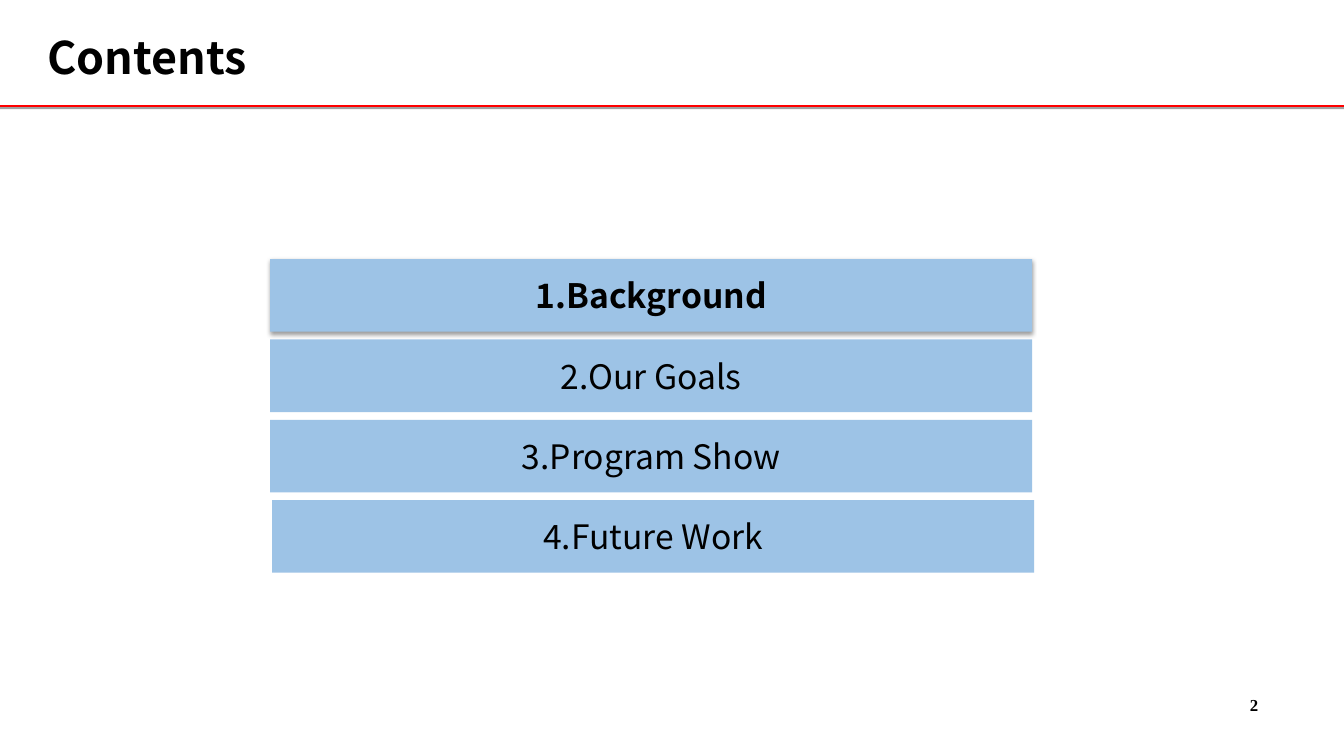
"""Build a contents slide with four agenda bars."""
from lxml.etree import SubElement
from pptx import Presentation
from pptx.dml.color import RGBColor
from pptx.enum.shapes import MSO_CONNECTOR, MSO_SHAPE
from pptx.enum.text import MSO_ANCHOR, MSO_AUTO_SIZE, PP_ALIGN
from pptx.oxml.ns import qn
from pptx.util import Inches, Pt

COLOURS = {"page": "FFFFFF", "text": "000000", "rule": "FF0000", "bar": "9DC3E6", "shadow": "000000"}
SANS = "Noto Sans CJK SC"
SERIF = "Times New Roman"
TOPICS = ["1.Background", "2.Our Goals", "3.Program Show", "4.Future Work"]
BAR_LEFTS = [20.1, 20.1, 20.1, 20.25]
BAR_TOP, BAR_STEP, BAR_WIDTH, BAR_HEIGHT = 34.27, 10.63, 56.7, 9.6


class SlideBuilder:
    """Hold the style and the current slide, and add each kind of element."""

    def __init__(self, deck):
        self.deck = deck
        self.page = deck.slides.add_slide(deck.slide_layouts[5])
        fill = self.page.background.fill
        fill.solid()
        fill.fore_color.rgb = self.colour("page")

    def colour(self, name):
        return RGBColor.from_string(COLOURS[name])

    def across(self, percent):
        return round(self.deck.slide_width * percent / 100)

    def down(self, percent):
        return round(self.deck.slide_height * percent / 100)

    def area(self, left, top, width, height):
        return self.across(left), self.down(top), self.across(width), self.down(height)

    def set_text(self, shape, text, size, font=SANS, align=PP_ALIGN.LEFT, bold=False):
        frame = shape.text_frame
        frame.text = text
        frame.word_wrap = True
        frame.auto_size = MSO_AUTO_SIZE.NONE
        frame.vertical_anchor = MSO_ANCHOR.MIDDLE
        para = frame.paragraphs[0]
        para.alignment = align
        for span in para.runs:
            span.font.name = font
            span.font.size = Pt(size)
            span.font.bold = bold
            span.font.color.rgb = self.colour("text")

    def effects(self, shape, opacity=0, blur=0):
        effects = SubElement(shape.element.spPr, qn("a:effectLst"))
        if opacity:
            shadow = SubElement(effects, qn("a:outerShdw"), blurRad=str(Pt(blur)),
                                dist=str(Pt(1.6)), dir="5400000", algn="t", rotWithShape="0")
            tint = SubElement(shadow, qn("a:srgbClr"), val=COLOURS["shadow"])
            SubElement(tint, qn("a:alpha"), val=str(opacity * 1000))

    def title(self, text, *area):
        box = self.page.shapes.title
        box.left, box.top, box.width, box.height = self.area(*area)
        self.set_text(box, text, 32, bold=True)

    def rule(self, top):
        line = self.page.shapes.add_connector(
            MSO_CONNECTOR.STRAIGHT, 0, self.down(top), self.across(100), self.down(top))
        line.line.color.rgb = self.colour("rule")
        line.line.width = Pt(1.5)
        self.effects(line, opacity=37)

    def page_number(self, text, *area):
        box = self.page.shapes.add_textbox(*self.area(*area))
        self.set_text(box, text, 12, SERIF, PP_ALIGN.RIGHT, True)

    def bar(self, text, *area, current=False):
        box = self.page.shapes.add_shape(MSO_SHAPE.ROUNDED_RECTANGLE, *self.area(*area))
        box.adjustments[0] = 0
        box.fill.solid()
        box.fill.fore_color.rgb = self.colour("bar")
        box.line.fill.background()
        self.effects(box, opacity=38 if current else 0, blur=3.1)
        self.set_text(box, text, 24, align=PP_ALIGN.CENTER, bold=current)
        frame = box.text_frame
        frame.margin_left = frame.margin_right = Inches(0.08)
        frame.margin_top = frame.margin_bottom = Inches(0.04)


def main():
    deck = Presentation()
    deck.slide_width, deck.slide_height = Inches(13.33), Inches(7.5)
    builder = SlideBuilder(deck)
    builder.rule(14)
    builder.title("Contents", 2.78, 3.73, 53.18, 7.47)
    builder.page_number("2", 89.78, 90.53, 4.58, 5.33)
    for row, (topic, left) in enumerate(zip(TOPICS, BAR_LEFTS)):
        builder.bar(topic, left, BAR_TOP + row * BAR_STEP, BAR_WIDTH, BAR_HEIGHT, current=row == 0)
    deck.save("out.pptx")


if __name__ == "__main__":
    main()
